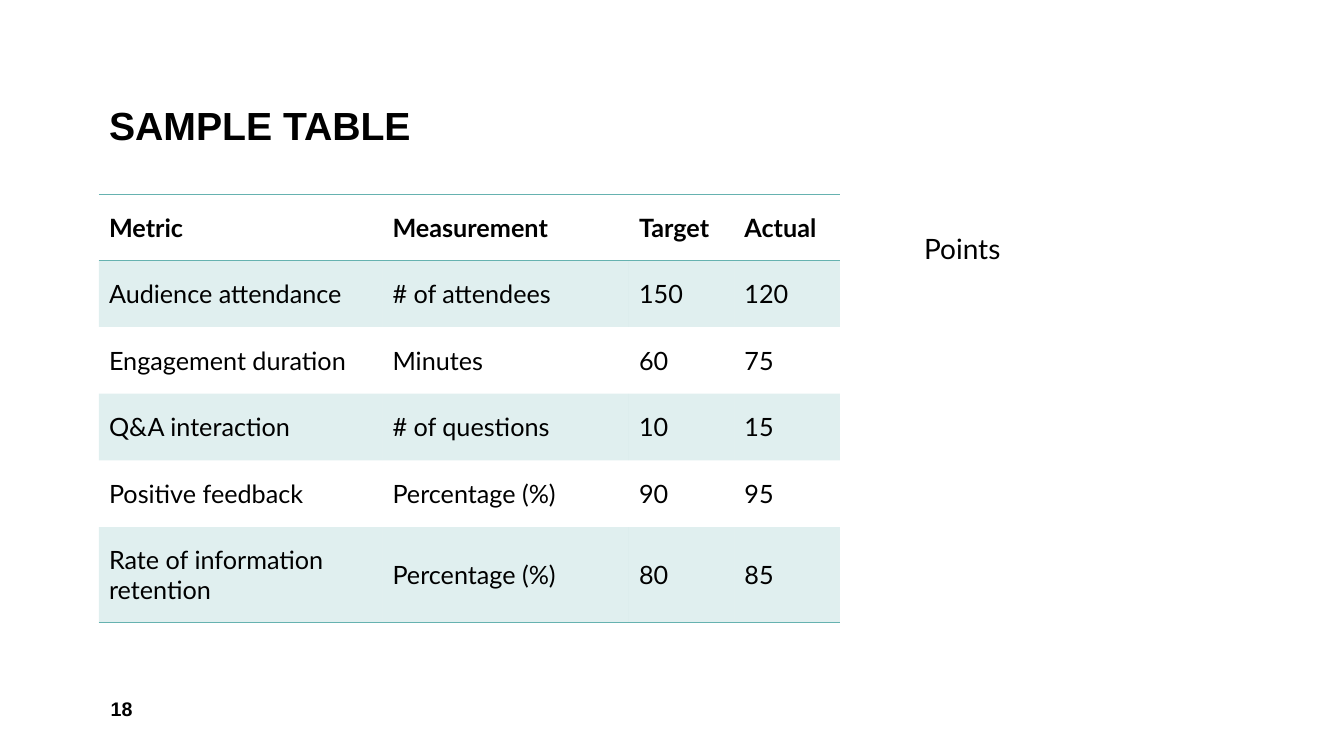
from dataclasses import dataclass

from lxml.etree import SubElement
from pptx import Presentation
from pptx.dml.color import RGBColor
from pptx.enum.text import MSO_ANCHOR as Anchor, MSO_AUTO_SIZE as AutoSize, PP_ALIGN as Align
from pptx.oxml import parse_xml
from pptx.oxml.ns import nsdecls, qn
from pptx.util import Pt

COLORS = {"text": "000000", "teal": "66B2B0"}
NO_STYLE = "{2D5ABB26-0587-4C30-8999-92F81FD0307C}"
TABLE_BOX = (70.7, 139, 529.2, 306)
COLUMN_WIDTHS = (202.5, 176.1, 75.3, 75.3)
ROW_HEIGHTS = (46.8, 47.7, 47.7, 47.7, 47.7, 68.4)
ROWS = (
    ("Metric", "Measurement", "Target", "Actual"),
    ("Audience attendance", "# of attendees", "150", "120"),
    ("Engagement duration", "Minutes", "60", "75"),
    ("Q&A interaction", "# of questions", "10", "15"),
    ("Positive feedback", "Percentage (%)", "90", "95"),
    ("Rate of information retention", "Percentage (%)", "80", "85"),
)


@dataclass(frozen=True)
class Label:
    text: str
    box: tuple
    font: dict
    paragraph: dict
    anchor: Anchor = Anchor.TOP


TITLE = Label("SAMPLE TABLE", (70.7, 5.8, 819.4, 104.4),
              {"name": "Arial", "size": Pt(28), "bold": True},
              {"line_spacing": 0.9}, Anchor.BOTTOM)
LABELS = (
    Label("Points", (653, 162, 236.2, 290.2),
          {"name": "Lato", "size": Pt(20)},
          {"space_before": Pt(10), "space_after": Pt(6)}),
    Label("18", (72, 491.8, 210.2, 28.8),
          {"name": "Arial", "size": Pt(14), "bold": True},
          {}, Anchor.MIDDLE),
)


def write(tf, text: str, font: dict, paragraph: dict) -> None:
    p = tf.paragraphs[0]
    r = p.add_run()
    r.text = text
    r.font.color.rgb = RGBColor.from_string(COLORS["text"])
    for target, values in ((p, {"alignment": Align.LEFT} | paragraph), (r.font, font)):
        for name, value in values.items():
            setattr(target, name, value)


def draw_label(sp, label: Label) -> None:
    for name, value in zip(("left", "top", "width", "height"), label.box):
        setattr(sp, name, Pt(value))
    tf = sp.text_frame
    frame = {"word_wrap": True, "auto_size": AutoSize.NONE, "vertical_anchor": label.anchor}
    for name, value in frame.items():
        setattr(tf, name, value)
    write(tf, label.text, label.font, label.paragraph)


def add_border(cell, side: str) -> None:
    cell._tc.get_or_add_tcPr().insert(0, parse_xml(
        f'<a:{side} {nsdecls("a")} w="{Pt(1)}"><a:solidFill>'
        f'<a:srgbClr val="{COLORS["teal"]}"/></a:solidFill></a:{side}>'))


def format_cell(cell, text: str, row: int) -> None:
    cell.vertical_anchor = Anchor.MIDDLE
    write(cell.text_frame, text, {"name": "Lato", "size": Pt(18), "bold": row == 0}, {})
    if row % 2:
        cell.fill.solid()
        cell.fill.fore_color.rgb = RGBColor.from_string(COLORS["teal"])
        color = cell._tc.tcPr.find(f'.//{qn("a:srgbClr")}')
        SubElement(color, qn("a:alpha"), val="20000")
    else:
        cell.fill.background()
    if row in (0, len(ROWS) - 1):
        add_border(cell, "lnB")
    if row == 0:
        add_border(cell, "lnT")


def draw_table(s) -> None:
    frame = s.shapes.add_table(len(ROWS), len(COLUMN_WIDTHS), *map(Pt, TABLE_BOX))
    table = frame.table
    table.horz_banding = False
    table._tbl.tblPr.find(qn("a:tableStyleId")).text = NO_STYLE
    for column, width in zip(table.columns, COLUMN_WIDTHS):
        column.width = Pt(width)
    for i, (row, height) in enumerate(zip(table.rows, ROW_HEIGHTS)):
        row.height = Pt(height)
        for cell, text in zip(row.cells, ROWS[i]):
            format_cell(cell, text, i)


def main() -> None:
    prs = Presentation()
    prs.slide_width, prs.slide_height = Pt(960), Pt(540)
    s = prs.slides.add_slide(prs.slide_layouts[5])
    draw_label(s.shapes.title, TITLE)
    for label in LABELS:
        draw_label(s.shapes.add_textbox(*map(Pt, label.box)), label)
    draw_table(s)
    prs.save("out.pptx")


if __name__ == "__main__":
    main()
